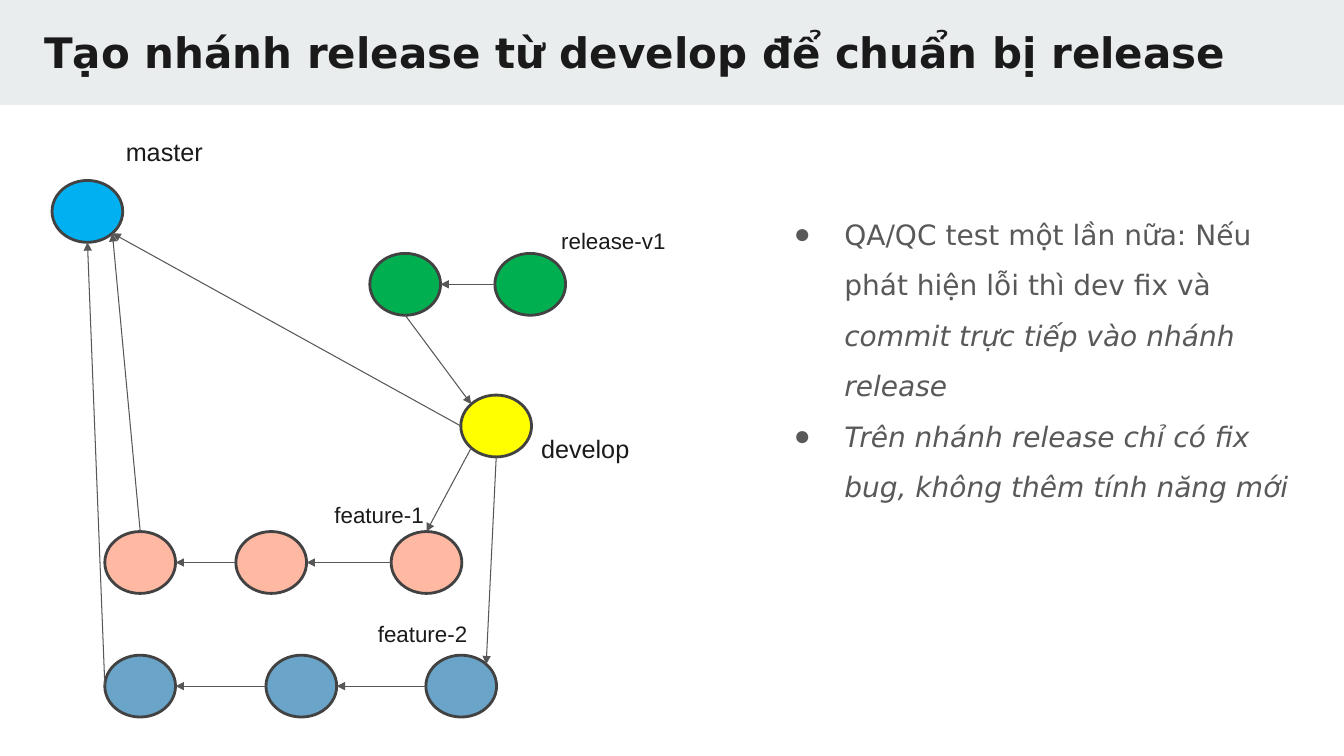
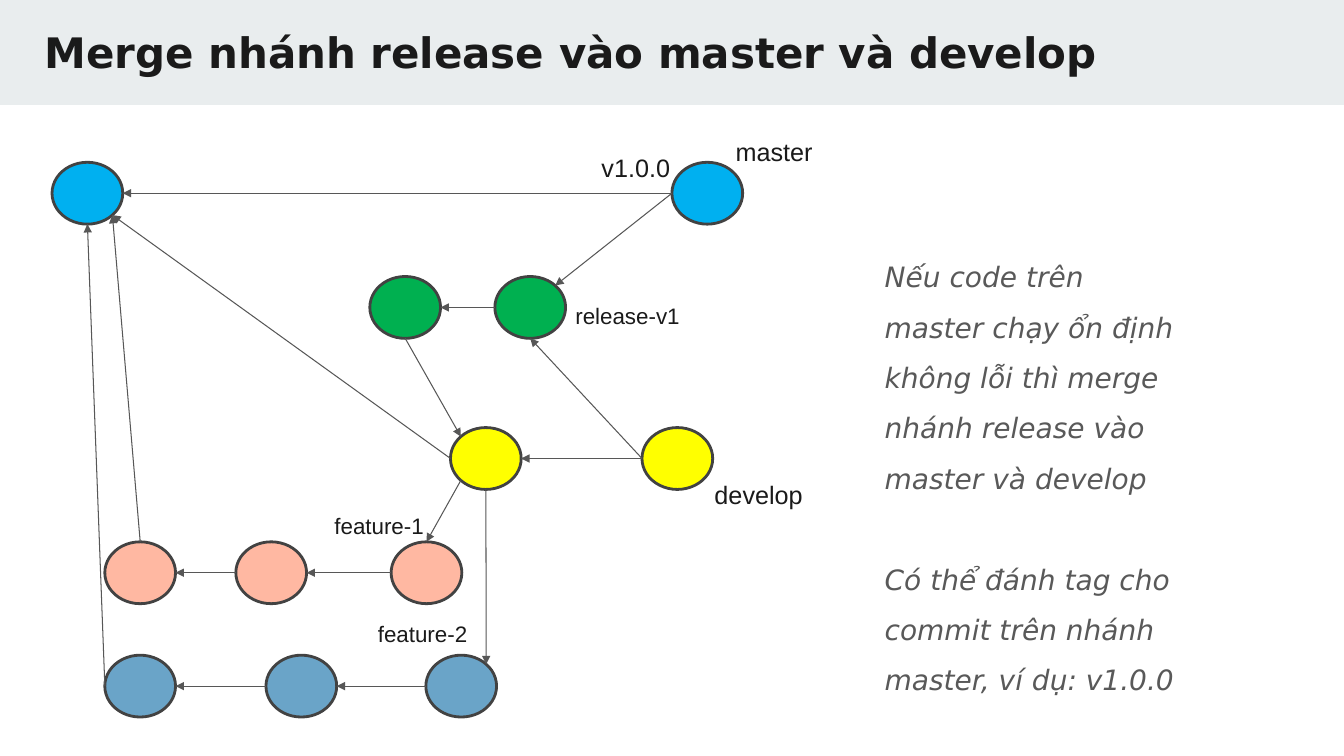
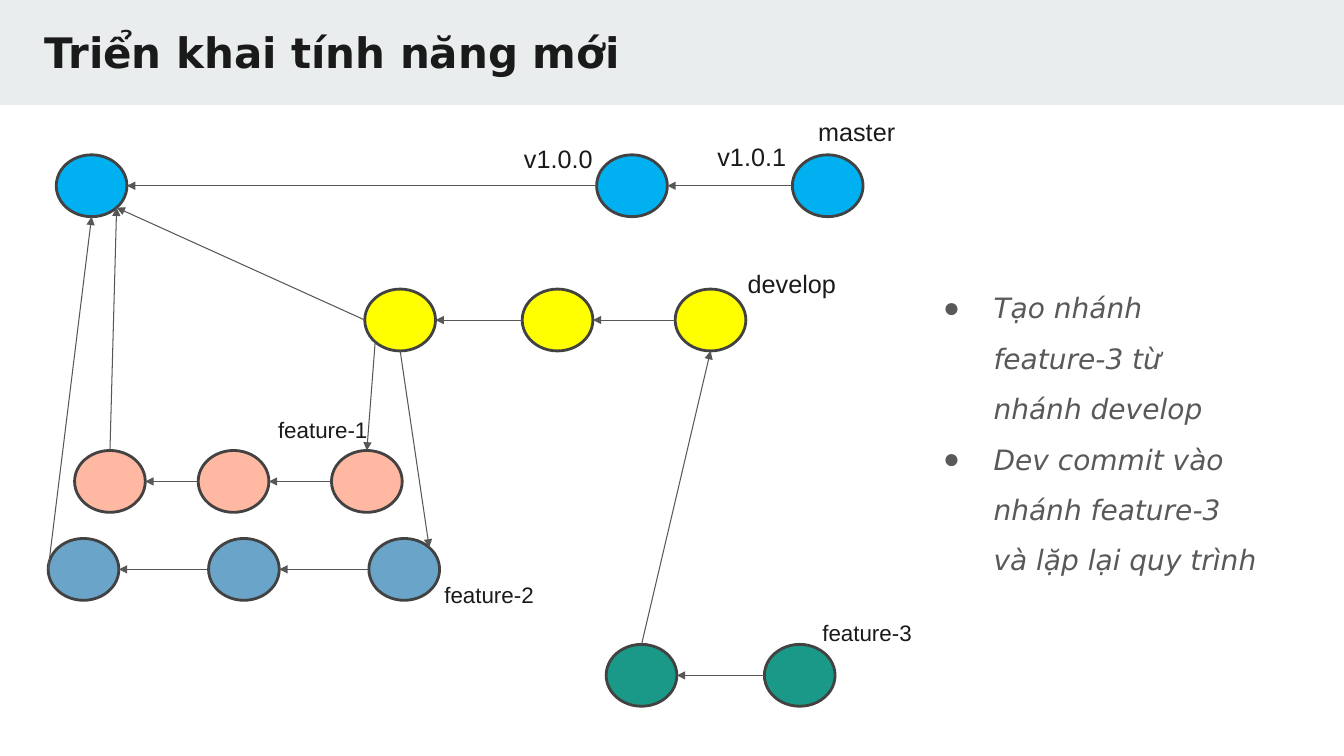
from dataclasses import dataclass
from enum import IntEnum
from itertools import pairwise
from math import cos, radians, sin

from lxml.etree import SubElement
from pptx import Presentation
from pptx.dml.color import RGBColor
from pptx.enum.shapes import MSO_CONNECTOR as Line, MSO_SHAPE as Preset
from pptx.enum.text import MSO_ANCHOR as Anchor, MSO_AUTO_SIZE as AutoSize, PP_ALIGN as Align
from pptx.oxml.ns import qn
from pptx.util import Pt

SLIDE_WIDTH, SLIDE_HEIGHT, BAND_HEIGHT = 960, 540, 75
COMMIT_WIDTH, COMMIT_HEIGHT = 50.5, 44.2
HEADING_FONT, LABEL_FONT = "DejaVu Sans", "Arial"
INK, NOTE_GREY, BAND_GREY = "1A1A1A", "595959", "E9EDEE"
OUTLINE, ARROW_GREY = "424242", "575757"
BRANCH_COLOURS = {
    "master": "00B0F0",
    "develop": "FFFF00",
    "release-v1": "00B050",
    "feature-1": "FFB8A2",
    "feature-2": "6AA4C8",
    "feature-3": "1A9988",
}
LABEL_WIDTHS = {"master": 72, "develop": 88.6, "release-v1": 89.3, "feature-1": 82,
                "feature-2": 79, "feature-3": 79, "v1.0.0": 72, "v1.0.1": 72}
SMALL_LABELS = ("feature", "release")


class Site(IntEnum):
    """Connection sites of an ellipse, counter-clockwise from the top."""
    TOP = 0
    TOP_LEFT = 1
    LEFT = 2
    BOTTOM_LEFT = 3
    BOTTOM = 4
    BOTTOM_RIGHT = 5
    RIGHT = 6
    TOP_RIGHT = 7


@dataclass(frozen=True)
class Branch:
    """A row of commits, oldest first."""
    name: str
    top: float
    lefts: tuple[float, ...]


@dataclass(frozen=True)
class End:
    branch: str
    commit: int
    site: Site


@dataclass(frozen=True)
class Link:
    child: End
    parent: End


@dataclass(frozen=True)
class Label:
    text: str
    left: float
    top: float


@dataclass(frozen=True)
class Note:
    """A paragraph whose opening may be upright and whose rest is italic."""
    italic: str
    upright: str = ""


@dataclass(frozen=True)
class Notes:
    box: tuple[float, float, float, float]
    items: tuple[Note, ...]
    bulleted: bool = True
    gap: float = 0


@dataclass(frozen=True)
class Step:
    title: str
    branches: tuple[Branch, ...]
    links: tuple[Link, ...]
    labels: tuple[Label, ...]
    notes: Notes


FEATURE_LINKS = (
    Link(End("feature-1", 0, Site.TOP), End("master", 0, Site.BOTTOM_RIGHT)),
    Link(End("feature-2", 0, Site.LEFT), End("master", 0, Site.BOTTOM)),
    Link(End("develop", 0, Site.BOTTOM_LEFT), End("feature-1", -1, Site.TOP)),
    Link(End("develop", 0, Site.BOTTOM), End("feature-2", -1, Site.TOP_RIGHT)),
    Link(End("develop", 0, Site.LEFT), End("master", 0, Site.BOTTOM_RIGHT)),
)
RELEASE_LINKS = FEATURE_LINKS + (
    Link(End("release-v1", 0, Site.BOTTOM), End("develop", 0, Site.TOP_LEFT)),
)
FEATURE_1_LEFTS = (74.9, 168.5, 279.4)
FEATURE_2 = Branch("feature-2", 468, (74.9, 190, 304.2))
FEATURE_2_LABEL = Label("feature-2", 262.8, 439.2)
RELEASE_LEFTS = (264.2, 353.5)

STEPS = (
    Step(
        "Tạo nhánh release từ develop để chuẩn bị release",
        (
            Branch("master", 128.9, (37.2,)),
            Branch("develop", 282.2, (329.2,)),
            Branch("release-v1", 181, RELEASE_LEFTS),
            Branch("feature-1", 379.7, FEATURE_1_LEFTS),
            FEATURE_2,
        ),
        RELEASE_LINKS,
        (
            Label("master", 82.8, 93.6),
            Label("develop", 379.4, 306),
            Label("feature-1", 231.8, 354.2),
            FEATURE_2_LABEL,
            Label("release-v1", 393.8, 158.4),
        ),
        Notes(
            (547.9, 136.1, 391, 292.3),
            (
                Note("commit trực tiếp vào nhánh release",
                     "QA/QC test một lần nữa: Nếu phát hiện lỗi thì dev fix và "),
                Note("Trên nhánh release chỉ có fix bug, không thêm tính năng mới"),
            ),
        ),
    ),
    Step(
        "Merge nhánh release vào master và develop",
        (
            Branch("master", 115.9, (37.2, 480)),
            Branch("develop", 305.4, (321.8, 458.6)),
            Branch("release-v1", 197.5, RELEASE_LEFTS),
            Branch("feature-1", 387, FEATURE_1_LEFTS),
            FEATURE_2,
        ),
        RELEASE_LINKS + (
            Link(End("master", 1, Site.LEFT), End("release-v1", 1, Site.TOP_RIGHT)),
            Link(End("develop", 1, Site.LEFT), End("release-v1", 1, Site.BOTTOM)),
        ),
        (
            Label("master", 518.4, 93.6),
            Label("develop", 503.3, 339.1),
            Label("feature-1", 231.8, 362.2),
            FEATURE_2_LABEL,
            Label("release-v1", 403.9, 212.4),
            Label("v1.0.0", 422.6, 105.1),
        ),
        Notes(
            (612.7, 166.3, 244.8, 198),
            (
                Note("Nếu code trên master chạy ổn định không lỗi thì merge "
                     "nhánh release vào master và develop"),
                Note("Có thể đánh tag cho commit trên nhánh master, ví dụ: v1.0.0"),
            ),
            bulleted=False,
            gap=36,
        ),
    ),
    Step(
        "Triển khai tính năng mới",
        (
            Branch("master", 110.6, (40.2, 426.2, 566)),
            Branch("develop", 206.5, (260.6, 373, 482.3)),
            Branch("feature-1", 321.8, (53.3, 141.6, 236.8)),
            Branch("feature-2", 384.6, (34.4, 149, 263.5)),
            Branch("feature-3", 460.3, (433, 546)),
        ),
        FEATURE_LINKS + (
            Link(End("feature-3", 0, Site.TOP), End("develop", 2, Site.BOTTOM)),
        ),
        (
            Label("master", 577.4, 79.9),
            Label("develop", 527, 187.9),
            Label("feature-1", 191.5, 293.8),
            Label("feature-2", 310.3, 411.8),
            Label("feature-3", 580.3, 438.5),
            Label("v1.0.0", 367.2, 98.6),
            Label("v1.0.1", 505.4, 97.2),
        ),
        Notes(
            (654.5, 188.6, 250.6, 315.4),
            (
                Note("Tạo nhánh feature-3 từ nhánh develop"),
                Note("Dev commit vào nhánh feature-3 và lặp lại quy trình"),
            ),
        ),
    ),
)


def colour(hex_code: str) -> RGBColor:
    return RGBColor.from_string(hex_code)


def place(shape, left: float, top: float, width: float, height: float) -> None:
    shape.left, shape.top = Pt(left), Pt(top)
    shape.width, shape.height = Pt(width), Pt(height)


def style_font(font, name: str, size: float, hex_code: str) -> None:
    font.name, font.size = name, Pt(size)
    font.color.rgb = colour(hex_code)


def add_filled(slide, preset, box: tuple[float, ...], fill: str):
    shape = slide.shapes.add_shape(preset, *map(Pt, box))
    shape.shadow.inherit = False
    shape.fill.solid()
    shape.fill.fore_color.rgb = colour(fill)
    shape.line.fill.background()
    return shape


def prepare_layout(deck):
    """Keep only the title and body of the layout, and set the title's place."""
    layout = deck.slide_layouts[1]
    for placeholder in list(layout.placeholders):
        if placeholder.placeholder_format.idx > 1:
            placeholder.element.getparent().remove(placeholder.element)
    place(layout.placeholders[0], 24.5, 11.5, 914.4, 56.2)
    return layout


def move_band_to_layout(slide, layout) -> None:
    band = add_filled(slide, Preset.RECTANGLE, (0, 0, SLIDE_WIDTH, BAND_HEIGHT), BAND_GREY)
    layout.shapes.element.insert(2, band.element)


def format_frame(frame) -> None:
    frame.margin_left = frame.margin_right = Pt(7.2)
    frame.margin_top = frame.margin_bottom = Pt(7.2)
    frame.vertical_anchor = Anchor.TOP
    frame.word_wrap = True
    frame.auto_size = AutoSize.NONE


def write_title(slide, text: str) -> None:
    frame = slide.shapes.title.text_frame
    format_frame(frame)
    frame.text = text
    heading = frame.paragraphs[0]
    heading.alignment = Align.LEFT
    style_font(heading.font, HEADING_FONT, 30, INK)
    heading.font.bold = True


def set_bullet(paragraph, bulleted: bool) -> None:
    props = paragraph._p.get_or_add_pPr()
    props.set("marL", str(Pt(48 if bulleted else 12)))
    props.set("indent", str(Pt(-36 if bulleted else 0)))
    if bulleted:
        SubElement(SubElement(props, qn("a:buClr")), qn("a:srgbClr"), val=NOTE_GREY)
        SubElement(props, qn("a:buChar"), char="●")
    else:
        SubElement(props, qn("a:buNone"))


def write_notes(slide, notes: Notes) -> None:
    body = slide.placeholders[1]
    place(body, *notes.box)
    frame = body.text_frame
    format_frame(frame)
    for position, note in enumerate(notes.items):
        paragraph = frame.add_paragraph() if position else frame.paragraphs[0]
        paragraph.line_spacing = 1.5
        paragraph.space_before = Pt(notes.gap if position else 0)
        set_bullet(paragraph, notes.bulleted)
        style_font(paragraph.font, HEADING_FONT, 20, NOTE_GREY)
        if note.upright:
            paragraph.add_run().text = note.upright
        emphasis = paragraph.add_run()
        emphasis.text = note.italic
        (emphasis if note.upright else paragraph).font.italic = True


def add_commit(slide, left: float, top: float, fill: str):
    commit = add_filled(slide, Preset.OVAL, (left, top, COMMIT_WIDTH, COMMIT_HEIGHT), fill)
    commit.line.color.rgb = colour(OUTLINE)
    commit.line.width = Pt(2)
    return commit


def site_point(commit, site: Site) -> tuple[int, int]:
    angle = radians(45 * site)
    return (round(commit.left + commit.width * (1 - sin(angle)) / 2),
            round(commit.top + commit.height * (1 - cos(angle)) / 2))


def add_arrow(slide, child, child_site: Site, parent, parent_site: Site) -> None:
    """Draw an arrow from child to parent, glued to both ellipses' own sites."""
    arrow = slide.shapes.add_connector(
        Line.STRAIGHT, *site_point(child, child_site), *site_point(parent, parent_site))
    arrow.line.color.rgb = colour(ARROW_GREY)
    arrow.line.width = Pt(0.75)
    SubElement(arrow.line._get_or_add_ln(), qn("a:tailEnd"), type="triangle")
    SubElement(arrow.element.spPr, qn("a:effectLst"))
    joints = arrow.element.find(".//" + qn("p:cNvCxnSpPr"))
    for tag, commit, site in (("a:stCxn", child, child_site), ("a:endCxn", parent, parent_site)):
        SubElement(joints, qn(tag), id=str(commit.shape_id), idx=str(int(site)))


def add_label(slide, label: Label) -> None:
    size, height = (16, 26.6) if label.text.startswith(SMALL_LABELS) else (18, 29.2)
    box = (label.left, label.top, LABEL_WIDTHS[label.text], height)
    frame = slide.shapes.add_textbox(*map(Pt, box)).text_frame
    frame.word_wrap = True
    frame.auto_size = AutoSize.SHAPE_TO_FIT_TEXT
    frame.text = label.text
    style_font(frame.paragraphs[0].font, LABEL_FONT, size, INK)


def draw_graph(slide, step: Step) -> None:
    commits = {
        branch.name: [add_commit(slide, left, branch.top, BRANCH_COLOURS[branch.name])
                      for left in branch.lefts]
        for branch in step.branches
    }
    for row in commits.values():
        for older, newer in pairwise(row):
            add_arrow(slide, newer, Site.LEFT, older, Site.RIGHT)
    for link in step.links:
        child, parent = link.child, link.parent
        add_arrow(slide, commits[child.branch][child.commit], child.site,
                  commits[parent.branch][parent.commit], parent.site)
    for label in step.labels:
        add_label(slide, label)


def main() -> None:
    deck = Presentation()
    deck.slide_width, deck.slide_height = Pt(SLIDE_WIDTH), Pt(SLIDE_HEIGHT)
    layout = prepare_layout(deck)
    for number, step in enumerate(STEPS):
        slide = deck.slides.add_slide(layout)
        if number == 0:
            move_band_to_layout(slide, layout)
        write_title(slide, step.title)
        write_notes(slide, step.notes)
        draw_graph(slide, step)
    deck.save("out.pptx")


if __name__ == "__main__":
    main()
